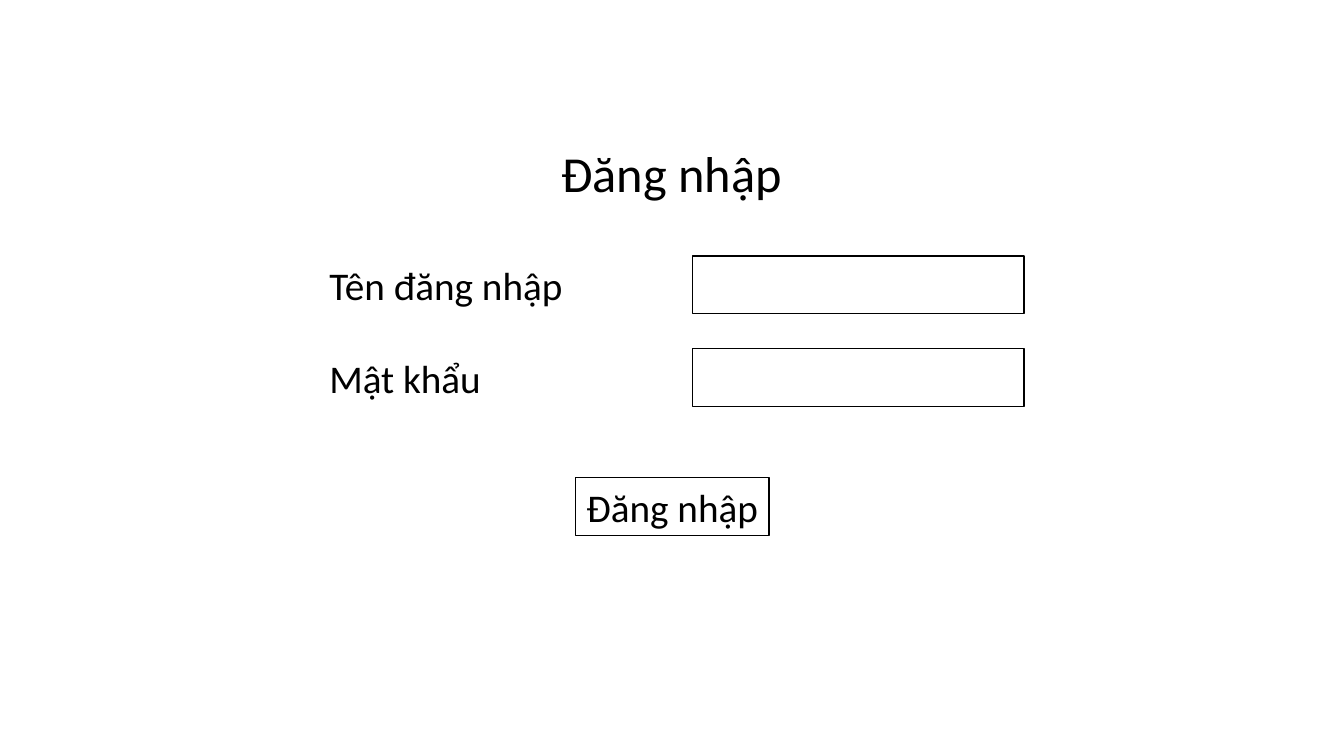
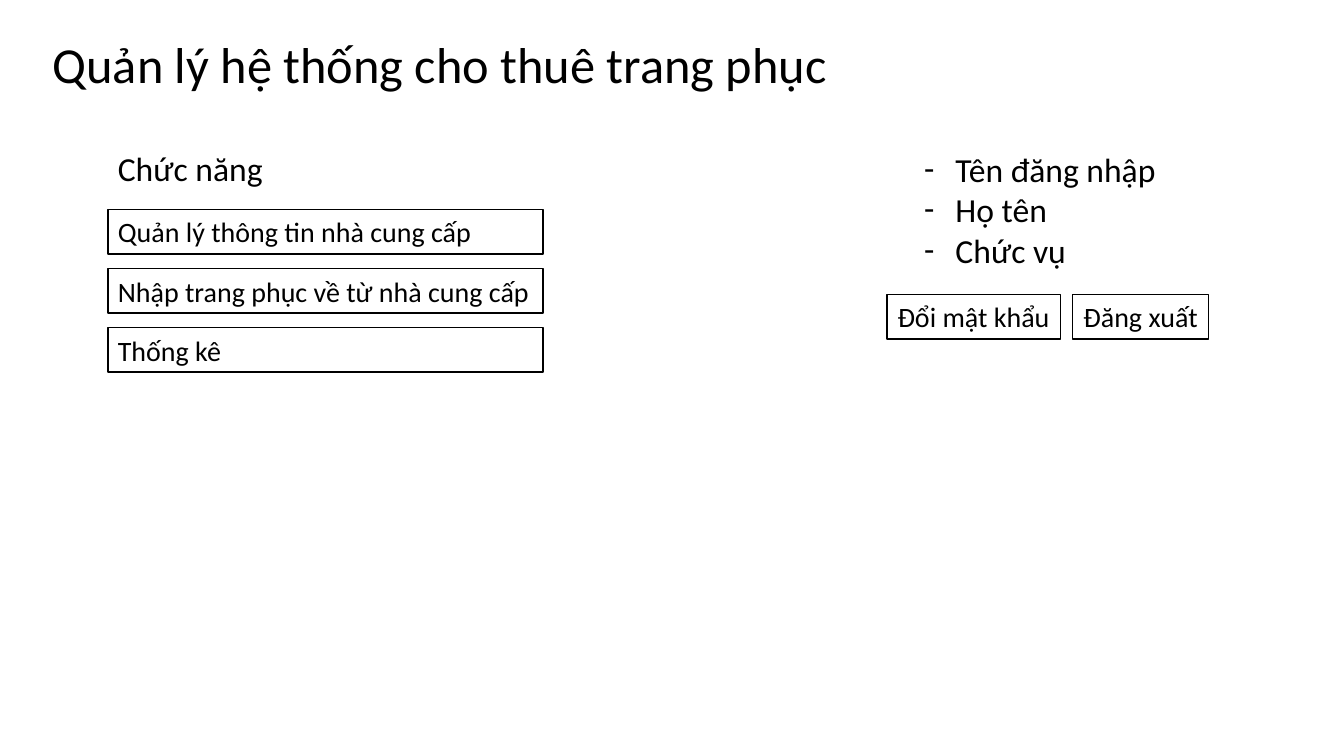
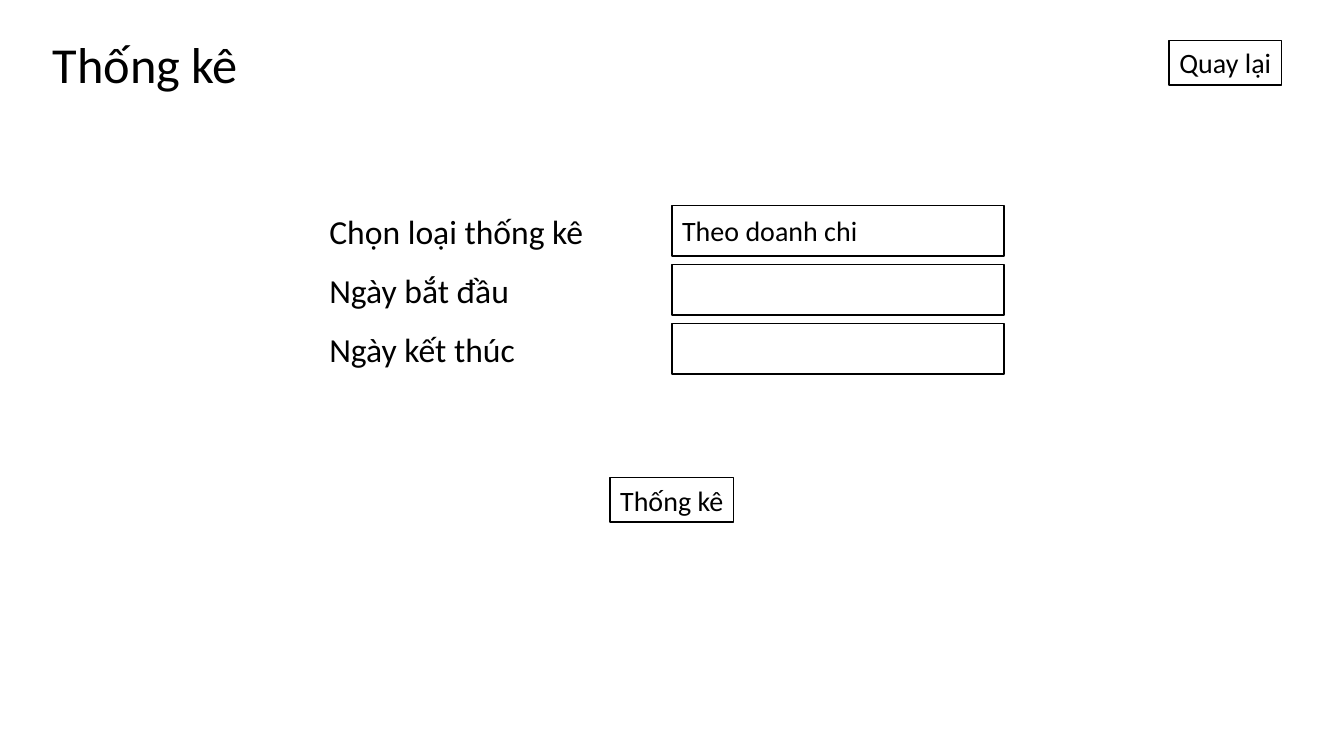
from dataclasses import dataclass

from lxml.etree import SubElement as Sub
from pptx import Presentation
from pptx.dml.color import RGBColor
from pptx.enum.shapes import MSO_SHAPE as Shape
from pptx.enum.text import MSO_ANCHOR as Anchor, MSO_AUTO_SIZE as Fit, PP_ALIGN as Align
from pptx.oxml.ns import qn
from pptx.slide import Slide
from pptx.text.text import TextFrame as Frame
from pptx.util import Cm, Pt

# Shared look
BLACK = RGBColor(0x00, 0x00, 0x00)
WHITE = RGBColor(0xFF, 0xFF, 0xFF)
FONT = "Calibri"
HEAD, BIG, MID, SMALL = 36, 28, 24, 20
TALL = {HEAD: 1.8, BIG: 1.45, MID: 1.27, SMALL: 1.12}  # one-line box heights
INDENT = Cm(0.79)
LEFT, CENTER = Align.LEFT, Align.CENTER


@dataclass
class Row:
    """A form line: a label and the field beside it."""
    label: str
    width: float
    value: str = ""


@dataclass
class Button:
    text: str
    left: float
    top: float
    width: float
    size: int = SMALL
    align: Align = CENTER


def write(frame: Frame, text: str, *, size: int, align: Align = LEFT,
          dash: bool = False, wrap: bool = False) -> None:
    """Fill a frame, one paragraph for each line of text."""
    frame.word_wrap = wrap
    frame.auto_size = Fit.NONE
    frame.vertical_anchor = Anchor.MIDDLE
    frame.text = text
    for para in frame.paragraphs:
        para.alignment = align
        if dash:
            props = para._p.get_or_add_pPr()
            props.set("marL", str(INDENT))
            props.set("indent", str(-INDENT))
            Sub(props, qn("a:buFont"), typeface=FONT)
            Sub(props, qn("a:buChar"), char="-")
        for run in para.runs:
            run.font.name = FONT
            run.font.size = Pt(size)
            run.font.color.rgb = BLACK


def add_page(deck: Presentation, title: str, width: float,
             left: float = 1.07, top: float = 0.69, align: Align = LEFT) -> Slide:
    page = deck.slides.add_slide(deck.slide_layouts[5])
    head = page.shapes.title
    head.left, head.top = Cm(left), Cm(top)
    head.width, head.height = Cm(width), Cm(TALL[HEAD])
    write(head.text_frame, title, size=HEAD, align=align)
    return page


def add_text(page: Slide, text: str, left: float, top: float, width: float,
             height: float, size: int, dash: bool = False) -> None:
    box = page.shapes.add_textbox(Cm(left), Cm(top), Cm(width), Cm(height))
    write(box.text_frame, text, size=size, dash=dash)


def add_box(page: Slide, left: float, top: float, width: float, height: float,
            text: str = "", size: int = SMALL, align: Align = LEFT) -> None:
    box = page.shapes.add_shape(Shape.RECTANGLE, Cm(left), Cm(top), Cm(width), Cm(height))
    box.shadow.inherit = False
    box.fill.solid()
    box.fill.fore_color.rgb = WHITE
    box.line.color.rgb = BLACK
    box.line.width = Pt(1)
    if text:
        write(box.text_frame, text, size=size, align=align)


def add_button(page: Slide, btn: Button) -> None:
    add_box(page, btn.left, btn.top, btn.width, TALL[btn.size],
            btn.text, btn.size, btn.align)


def add_form(page: Slide, rows: list[Row], top: float, step: float,
             field: float, size: int) -> None:
    for i, row in enumerate(rows):
        y = top + i * step
        add_text(page, row.label, 8.05, y, row.width, TALL[size], size)
        add_box(page, field, y, 8.36, TALL[size], row.value)


def login(deck: Presentation) -> None:
    page = add_page(deck, "Đăng nhập", 6.12, 13.87, 3.45, CENTER)
    rows = [Row("Tên đăng nhập", 6.45), Row("Mật khẩu", 4.37)]
    add_form(page, rows, 6.45, 2.34, 17.45, BIG)
    add_button(page, Button("Đăng nhập", 14.5, 12.04, 4.88, BIG))


def home(deck: Presentation) -> None:
    page = add_page(deck, "Quản lý hệ thống cho thuê trang phục", 20.19)

    # Menu of functions
    add_text(page, "Chức năng", 2.72, 3.61, 4.19, TALL[MID], MID)
    menu = ["Quản lý thông tin nhà cung cấp",
            "Nhập trang phục về từ nhà cung cấp", "Thống kê"]
    for i, item in enumerate(menu):
        add_button(page, Button(item, 2.72, 5.28 + i * 1.49, 10.97, align=LEFT))

    # User panel
    add_text(page, "Tên đăng nhập\nHọ tên\nChức vụ",
             23.04, 3.61, 6.4, 3.33, MID, dash=True)
    add_button(page, Button("Đổi mật khẩu", 22.35, 7.42, 4.37))
    add_button(page, Button("Đăng xuất", 27.03, 7.42, 3.43))


def report(deck: Presentation) -> None:
    page = add_page(deck, "Thống kê", 5.23)
    add_button(page, Button("Quay lại", 29.46, 1.02, 2.84))
    rows = [Row("Chọn loại thống kê", 6.96, "Theo doanh chi"),
            Row("Ngày bắt đầu", 5.08), Row("Ngày kết thúc", 5.23)]
    add_form(page, rows, 5.18, 1.49, 16.94, MID)
    add_button(page, Button("Thống kê", 15.37, 12.04, 3.12))


def main() -> None:
    deck = Presentation()
    deck.slide_width, deck.slide_height = Cm(33.87), Cm(19.05)
    for draw in (login, home, report):
        draw(deck)
    deck.save("out.pptx")


if __name__ == "__main__":
    main()
